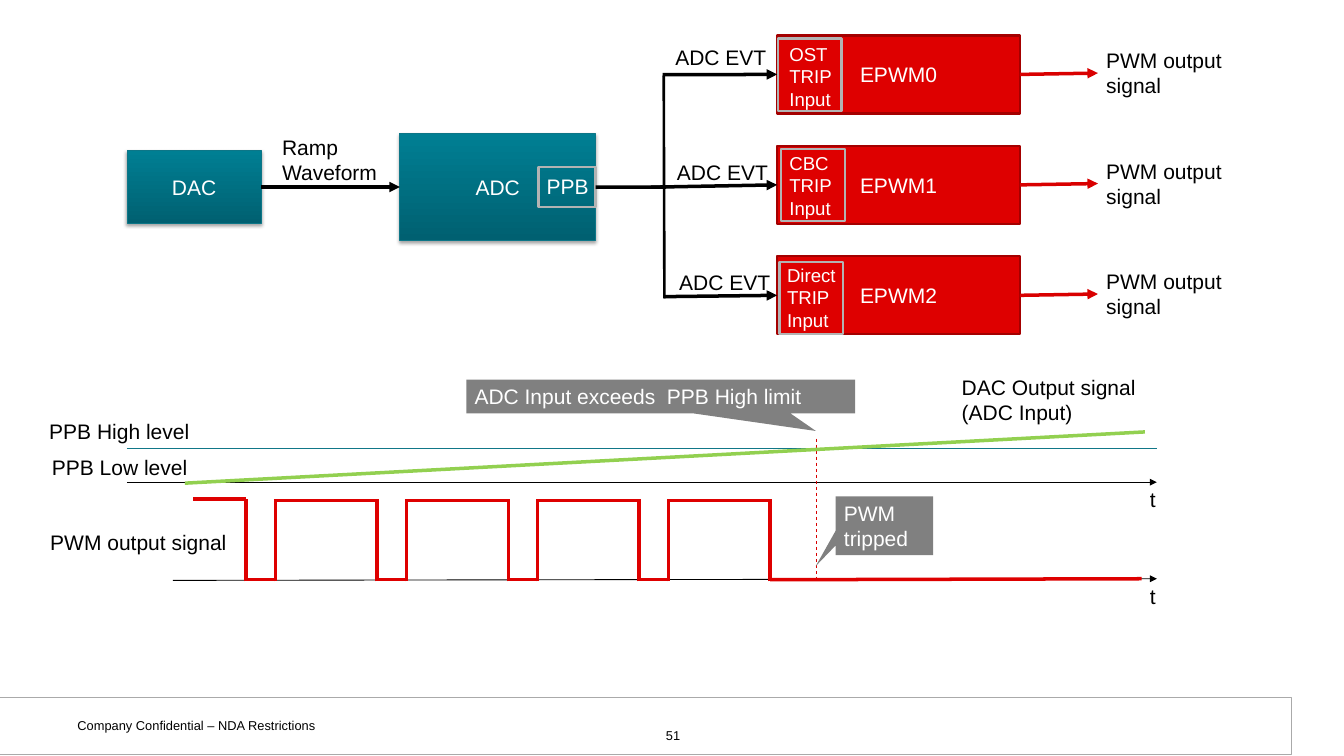
"""Build the slide on ADC limit events that trip the PWM outputs."""
from pptx import Presentation
from pptx.dml.color import RGBColor
from pptx.enum.dml import MSO_LINE
from pptx.enum.shapes import MSO_CONNECTOR, MSO_SHAPE
from pptx.enum.text import MSO_ANCHOR, PP_ALIGN
from pptx.oxml import parse_xml
from pptx.oxml.ns import nsdecls
from pptx.util import Cm, Pt

BLACK, WHITE, RED, GRAY = "000000", "FFFFFF", "DE0000", "B3B3B3"
FONT = {"name": "Arial", "size": Pt(18)}
SMALL = {"size": Pt(11)}
FOOT = {"margin_left": Cm(0.33), "margin_right": Cm(0.33),
        "margin_top": Cm(0.18), "margin_bottom": Cm(0.18)}
MIDDLE = {"vertical_anchor": MSO_ANCHOR.MIDDLE}
LEFT, RIGHT = 1, 3

LABELS = [
    ("PWM output signal", (0.5, 6.25, 2.4, 0.4)),
    ("DAC Output signal\n(ADC Input)", (11.35, 4.41, 2.4, 0.7)),
    ("PPB High level", (0.49, 4.93, 2.97, 0.4)),
    ("PPB Low level", (0.52, 5.36, 2.97, 0.4)),
    ("t", (13.59, 5.74, 0.34, 0.4)),
    ("t", (13.59, 6.9, 0.34, 0.4)),
    ("Ramp Waveform", (3.26, 1.55, 1.52, 0.7)),
]
AXES = [((1.51, 5.74), (13.77, 5.74)), ((2.06, 6.91), (13.77, 6.89))]
CALLS = [
    ("ADC Input exceeds  PPB High limit", (5.55, 4.52, 4.63, 0.4), (0.399, 1.023)),
    ("PWM tripped", (9.95, 5.91, 1.16, 0.7), (-0.705, 0.686)),
]
UNITS = [("DAC", (1.51, 1.79, 1.6, 0.87)), ("ADC", (4.76, 1.59, 2.33, 1.27))]
DRIVES = [
    ("EPWM0", "OST TRIP Input", (9.3, 0.46), (9.26, 0.46), (7.94, 0.48), (7.89, 0.89)),
    ("EPWM1", "CBC TRIP Input", (9.3, 1.76), (9.3, 1.77), (7.96, 1.85), (7.75, 2.23)),
    ("EPWM2", "Direct TRIP Input", (9.27, 3.09), (9.28, 3.12), (7.99, 3.16), (7.9, 3.53)),
]
DRIVE_TOP, DRIVE_STEP = 0.42, 1.315
PULSES, FALL, RISE, PITCH = 4, 2.93, 3.28, 1.56
HIGH, LOW = 5.96, 6.9

deck = Presentation()
deck.slide_width, deck.slide_height = Cm(40.64), Cm(22.86)
shapes = deck.slides.add_slide(deck.slide_layouts[6]).shapes


def scale(vals):
    """Turn inches into lengths."""
    return [Cm(round(v * 2.54, 2)) for v in vals]


def tint(spot, hue):
    """Give a colour object a hex colour."""
    spot.rgb = RGBColor.from_string(hue)


def apply(item, form):
    """Set attributes from a dict of format values."""
    for key, val in form.items():
        setattr(item, key, val)


def write(shape, text, hue=BLACK, font=None, frame=None, align=PP_ALIGN.LEFT):
    """Fill a shape with styled text."""
    body = shape.text_frame
    body.text = text
    apply(body, {"word_wrap": True, "vertical_anchor": MSO_ANCHOR.TOP, **(frame or {})})
    for para in body.paragraphs:
        para.alignment = align
        apply(para.font, {**FONT, **(font or {})})
        tint(para.font.color, hue)


def label(text, place, **style):
    """Add a text box."""
    write(shapes.add_textbox(*scale(place)), text, **style)


def block(place, fill=None, edge=None, width=2, kind=MSO_SHAPE.RECTANGLE):
    """Add a preset shape with plain fill and outline."""
    shape = shapes.add_shape(kind, *scale(place))
    shape.shadow.inherit = False
    if fill:
        shape.fill.solid()
        tint(shape.fill.fore_color, fill)
    else:
        shape.fill.background()
    if edge:
        tint(shape.line.color, edge)
        shape.line.width = Pt(width)
    else:
        shape.line.fill.background()
    return shape


def wire(start, end, hue=BLACK, width=3, arrow=False):
    """Add a straight line, with an arrowhead if asked."""
    line = shapes.add_connector(MSO_CONNECTOR.STRAIGHT, *scale(start + end))
    tint(line.line.color, hue)
    line.line.width = Pt(width)
    if arrow:
        edge = line.line._get_or_add_ln()
        edge.append(parse_xml(f'<a:tailEnd {nsdecls("a")} type="triangle"/>'))
    line._element.spPr.append(parse_xml(f'<a:effectLst {nsdecls("a")}/>'))
    return line


def unit(name, place):
    """Add a teal block with a gradient and a soft shadow."""
    shape = block(place, edge="0D7687", width=0.75)
    shape.fill.gradient()
    shape.fill.gradient_angle = 90
    for stop, hue in zip(shape.fill.gradient_stops, ("006071", "007F93")):
        tint(stop.color, hue)
    shape._element.spPr.find("{*}effectLst").append(parse_xml(
        f'<a:outerShdw {nsdecls("a")} blurRad="{Pt(3.1)}" dist="{Pt(1.8)}" '
        'dir="5400000" rotWithShape="0"><a:srgbClr val="000000">'
        '<a:alpha val="35000"/></a:srgbClr></a:outerShdw>'))
    write(shape, name, WHITE, frame=MIDDLE, align=PP_ALIGN.CENTER)
    return shape


def footer():
    """Add the frame, note and page number."""
    block((-0.03, 8.3, 15.4, 0.68), WHITE, "AAAAAA", 0.75)
    label("Company Confidential – NDA Restrictions", (0.79, 8.47, 3.69, 0.32),
          font=SMALL, frame=FOOT)
    label("51", (6.15, 8.59, 3.73, 0.27), font=SMALL, frame=FOOT,
          align=PP_ALIGN.CENTER)


def timing():
    """Draw the ramp and the pulse train."""
    for start, end in AXES:
        wire(start, end, width=0.75, arrow=True)
    trip = wire((9.72, 5.22), (9.72, 6.92), "D90000", 0.75)
    trip.line.dash_style = MSO_LINE.DASH
    wire((1.51, 5.34), (13.77, 5.34), "117788", 1.5)
    wire((2.2, 5.75), (13.63, 5.14), "92D050")
    for text, place, tip in CALLS:
        call = block(place, "808080", kind=MSO_SHAPE.RECTANGULAR_CALLOUT)
        call.adjustments[0], call.adjustments[1] = tip
        write(call, text, WHITE)
    wire((2.3, 5.94), (FALL, 5.94), RED)
    for num in range(PULSES + 1):
        fall, rise = FALL + num * PITCH, RISE + num * PITCH
        wire((fall, LOW + 0.02), (fall, HIGH - 0.02), RED)
        if num < PULSES:
            wire((rise, LOW + 0.02), (rise, HIGH - 0.02), RED)
            wire((fall, LOW), (rise - 0.02, LOW), RED)
            wire((rise - 0.02, HIGH), (fall + PITCH + 0.02, HIGH), RED)
    wire((fall, LOW), (13.59, 6.89), RED)


def diagram():
    """Draw the blocks and the signals between them."""
    dac, adc = [unit(*row) for row in UNITS]
    ramp = wire((3.11, 2.22), (4.76, 2.22), arrow=True)
    ramp.begin_connect(dac, RIGHT)
    ramp.end_connect(adc, LEFT)
    label("PPB", (6.41, 2.02, 0.9, 0.4), hue=WHITE)
    block((6.41, 1.99, 0.68, 0.48), edge=GRAY)
    wire((7.09, 2.23), (7.93, 2.23)).begin_connect(adc, RIGHT)
    wire((7.9, 0.9), (7.91, 3.55), width=2.25)
    for num, (name, trip, note, box, event, start) in enumerate(DRIVES):
        top = DRIVE_TOP + num * DRIVE_STEP
        mid = top + 0.46
        drive = block((9.25, top, 2.89, 0.93), RED, "A40000")
        write(drive, name, WHITE, frame=MIDDLE, align=PP_ALIGN.CENTER)
        label(trip, note + (0.8, 0.9), hue=WHITE, font={"size": Pt(16)})
        block(box + (0.76, 0.86), edge=GRAY)
        label("ADC EVT", event + (1.4, 0.4))
        wire(start, (9.25, mid), arrow=True).end_connect(drive, LEFT)
        out = wire((12.14, mid), (13.07, mid - 0.01), "D90000", arrow=True)
        out.begin_connect(drive, RIGHT)
        label("PWM output signal", (13.07, top + 0.1, 1.71, 0.7))


def main():
    """Build and save the slide."""
    footer()
    timing()
    diagram()
    for text, place in LABELS:
        label(text, place)
    deck.save("out.pptx")


if __name__ == "__main__":
    main()
